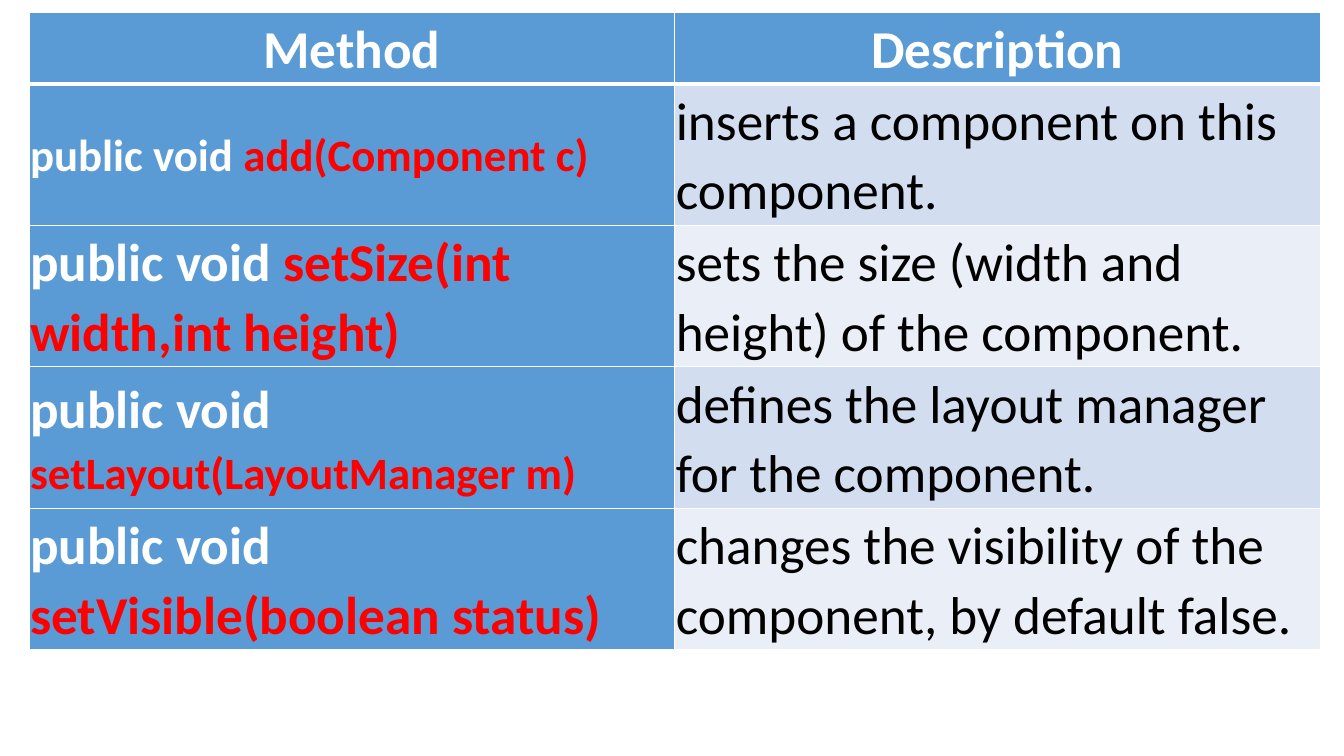
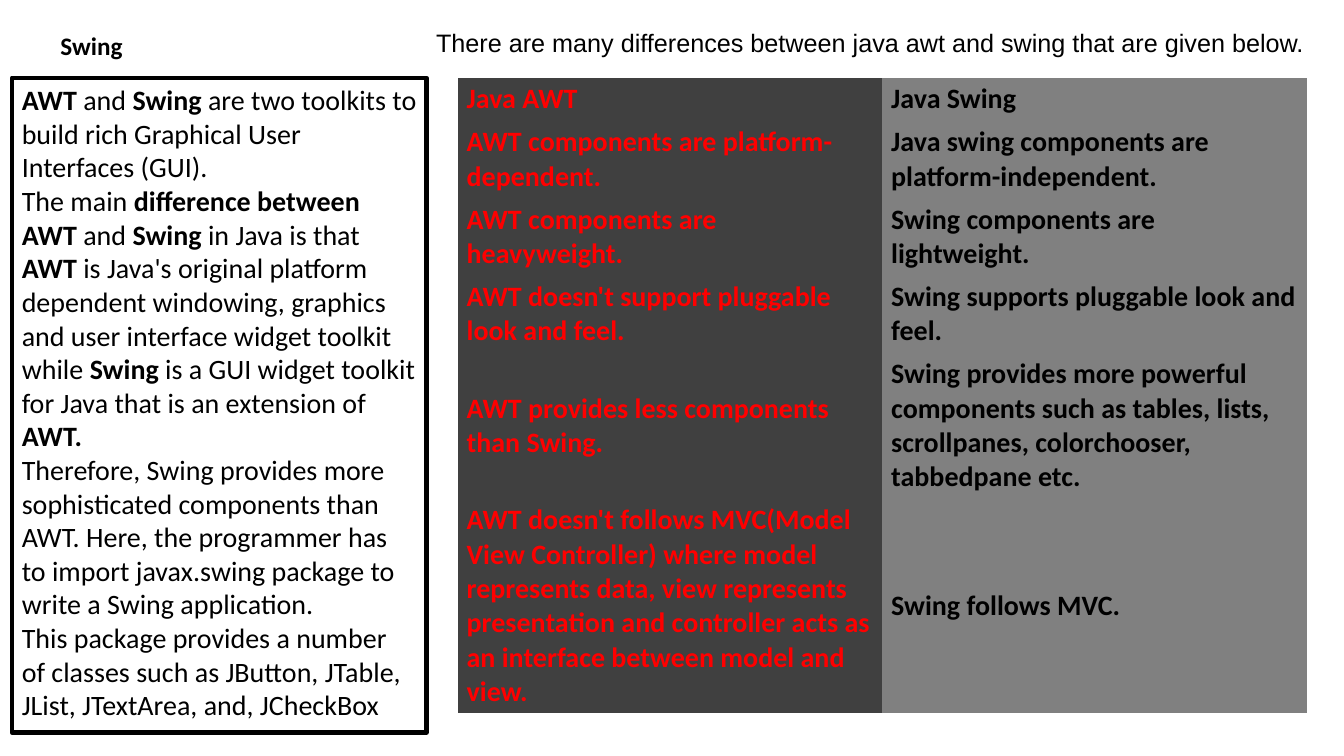
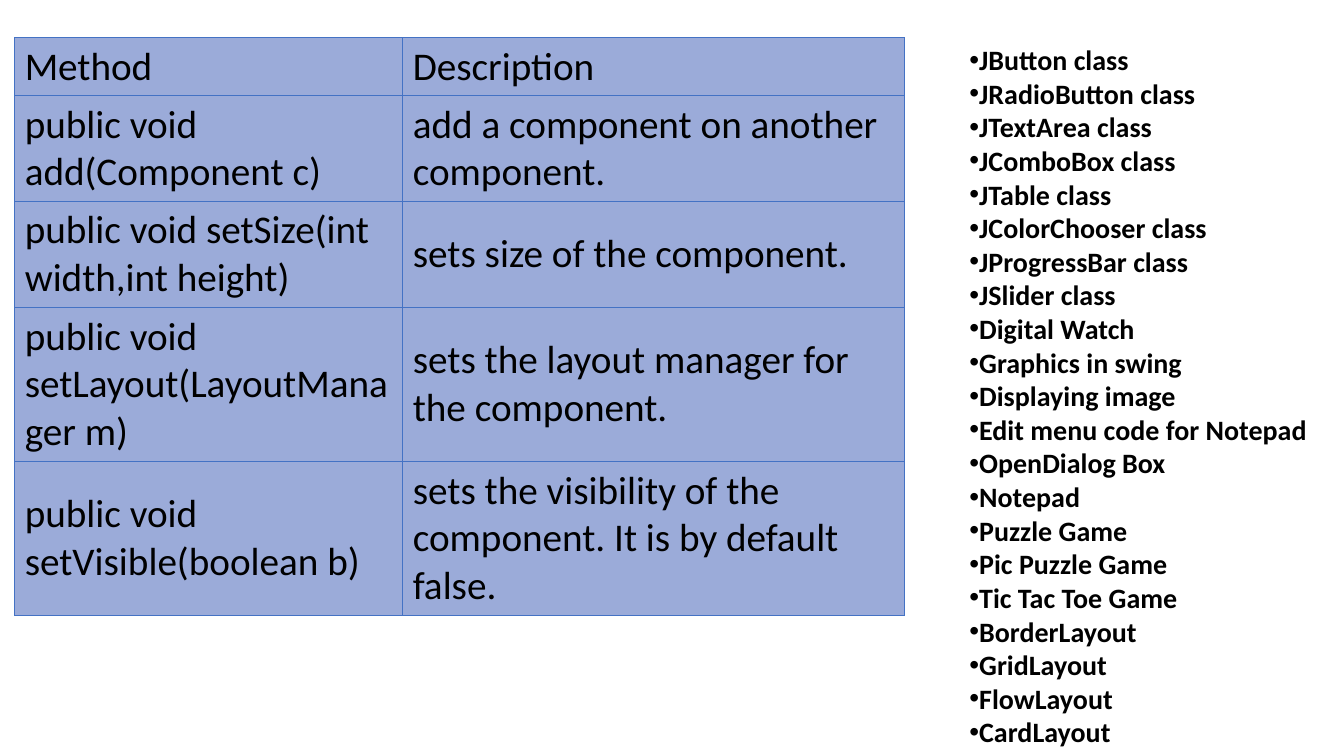
from lxml import etree
from pptx import Presentation
from pptx.dml.color import RGBColor
from pptx.enum.shapes import MSO_SHAPE
from pptx.enum.text import MSO_ANCHOR, MSO_AUTO_SIZE, PP_ALIGN
from pptx.oxml.ns import qn
from pptx.util import Cm, Pt

RECTANGLE = MSO_SHAPE.RECTANGLE
TOP, MIDDLE = MSO_ANCHOR.TOP, MSO_ANCHOR.MIDDLE
LEFT, CENTER = PP_ALIGN.LEFT, PP_ALIGN.CENTER
NO_RESIZE = MSO_AUTO_SIZE.NONE

TITLE_ONLY, BLANK = 5, 6
PLAIN_TABLE = "{2D5ABB26-0587-4C30-8999-92F81FD0307C}"
FONT = "Calibri"
BLACK, WHITE, RED = "000000", "FFFFFF", "FF0000"
BLUE, BLUE_BAND, PALE_BAND = "5B9BD5", "D2DEEF", "EAEFF7"
DARK_GREY, MID_GREY = "404040", "808080"
LILAC, LILAC_EDGE = "9BABD9", "4472C4"
BOLD = {"bold": True}

COMPONENT_METHODS = [
    ("add(Component c)", "inserts a component on this component.", 32, 32),
    ("setSize(int width,int height)",
     "sets the size (width and height) of the component.", 38, 38),
    ("setLayout(LayoutManager m)",
     "defines the layout manager for the component.", 38, 32),
    ("setVisible(boolean status)",
     "changes the visibility of the component, by default false.", 38, 38),
]
TOOLKITS = [
    [("AWT", BOLD), " and ", ("Swing", BOLD),
     " are two toolkits to build rich Graphical User Interfaces (GUI)."],
    ["The main ", ("difference between AWT", BOLD), " and ", ("Swing", BOLD),
     " in Java is that ", ("AWT", BOLD),
     " is Java's original platform dependent windowing, graphics and user "
     "interface widget toolkit while ", ("Swing", BOLD),
     " is a GUI widget toolkit for Java that is an extension of ", ("AWT.", BOLD)],
    "Therefore, Swing provides more sophisticated components than AWT. Here, the "
    "programmer has to import javax.swing package to write a Swing application.",
    "This package provides a number of classes such as JButton, JTable, JList, "
    "JTextArea, and, JCheckBox",
]
DIFFERENCES = [
    ("Java AWT", "Java Swing"),
    ("AWT components are platform-dependent.",
     "Java swing components are platform-independent."),
    ("AWT components are heavyweight.", "Swing components are lightweight."),
    ("AWT doesn't support pluggable look and feel.",
     "Swing supports pluggable look and feel."),
    ("AWT provides less components than Swing.",
     "Swing provides more powerful components such as tables, lists, "
     "scrollpanes, colorchooser, tabbedpane etc."),
    ("AWT doesn't follows MVC(Model View Controller) where model represents data, "
     "view represents presentation and controller acts as an interface between "
     "model and view.", "Swing follows MVC."),
]
SWING_METHODS = [
    ("Method", "Description"),
    ("public void add(Component c)", "add a component on another component."),
    ("public void setSize(int width,int height)", "sets size of the component."),
    ("public void setLayout(LayoutManager m)",
     "sets the layout manager for the component."),
    ("public void setVisible(boolean b)",
     "sets the visibility of the component. It is by default false."),
]
TOPICS = [
    "JButton class", "JRadioButton class", "JTextArea class", "JComboBox class",
    "JTable class", "JColorChooser class", "JProgressBar class", "JSlider class",
    "Digital Watch", "Graphics in swing", "Displaying image",
    "Edit menu code for Notepad", "OpenDialog Box", "Notepad", "Puzzle Game",
    "Pic Puzzle Game", "Tic Tac Toe Game", "BorderLayout", "GridLayout",
    "FlowLayout", "CardLayout",
]


def rgb(value):
    return RGBColor.from_string(value)


def write(frame, paragraphs, size=20, color=BLACK, bold=False, font=FONT,
          align=LEFT, spacing=None, bullet=None):
    """Fill a frame; a paragraph is a string or a list of strings and (text, format)."""
    for index, spans in enumerate(paragraphs):
        para = frame.paragraphs[0] if index == 0 else frame.add_paragraph()
        para.alignment = align
        if spacing:
            para.line_spacing = spacing
        if bullet:
            properties = para._p.get_or_add_pPr()
            etree.SubElement(properties, qn("a:buFont"), typeface="Arial")
            etree.SubElement(properties, qn("a:buChar"), char=bullet)
        for span in [spans] if isinstance(spans, str) else spans:
            text, changes = (span, {}) if isinstance(span, str) else span
            style = {"size": size, "color": color, "bold": bold, **changes}
            run = para.add_run()
            run.text = text
            run.font.name = font
            run.font.size = Pt(style["size"])
            run.font.bold = style["bold"]
            run.font.color.rgb = rgb(style["color"])


def place(box, left, top, width, height):
    box.left, box.top, box.width, box.height = map(Cm, (left, top, width, height))


def add_text(page, area, paragraphs, anchor=TOP, **text_format):
    box = page.shapes.add_textbox(*map(Cm, area))
    box.text_frame.word_wrap = True
    box.text_frame.vertical_anchor = anchor
    write(box.text_frame, paragraphs, **text_format)


def add_outlined_text(page, area, paragraphs, **text_format):
    box = page.shapes.add_shape(RECTANGLE, *map(Cm, area))
    box.shadow.inherit = False
    box.fill.background()
    box.line.color.rgb = rgb(BLACK)
    box.line.width = Pt(3)
    box.text_frame.word_wrap = True
    box.text_frame.vertical_anchor = TOP
    write(box.text_frame, paragraphs, **text_format)


def set_title(page, area, text, **text_format):
    title = page.shapes.title
    place(title, *area)
    frame = title.text_frame
    frame.auto_size = NO_RESIZE
    frame.word_wrap = False
    frame.vertical_anchor = TOP
    write(frame, [text], **text_format)


def add_grid(page, left, top, widths, heights):
    """Add a table without a built-in style and return it."""
    table = page.shapes.add_table(
        len(heights), len(widths), Cm(left), Cm(top),
        Cm(sum(widths)), Cm(sum(heights))).table
    table._tbl.tblPr[0].text = PLAIN_TABLE
    table.first_row = table.horz_banding = False
    for column, width in zip(table.columns, widths):
        column.width = Cm(width)
    for row, height in zip(table.rows, heights):
        row.height = Cm(height)
    return table


def set_border(cell, side, color, points):
    line = etree.SubElement(cell._tc.get_or_add_tcPr(), qn("a:ln" + side),
                            w=str(Pt(points)))
    fill = etree.SubElement(line, qn("a:solidFill"))
    etree.SubElement(fill, qn("a:srgbClr"), val=color)


def fill_cell(cell, content, fill, margins=None, borders=None, **text_format):
    """Format a cell; margins are (side, end) in cm, borders map sides to (colour, points)."""
    for side, (color, points) in (borders or {}).items():
        set_border(cell, side, color, points)
    cell.fill.solid()
    cell.fill.fore_color.rgb = rgb(fill)
    cell.vertical_anchor = MIDDLE
    if margins:
        cell.margin_left = cell.margin_right = Cm(margins[0])
        cell.margin_top = cell.margin_bottom = Cm(margins[1])
    write(cell.text_frame, [content], **text_format)


def build_component_methods(page):
    table = add_grid(page, 0.73, 0.3, [16.27] * 2, [1.8] + [3.55] * 4)
    edges = dict.fromkeys("LRTB", (WHITE, 1))
    shared = {"margins": (0.03, 0.03), "spacing": 1.07}
    for column, heading in enumerate(["Method", "Description"]):
        fill_cell(table.cell(0, column), heading, BLUE, size=38, color=WHITE,
                  bold=True, align=CENTER, borders={**edges, "B": (WHITE, 3)}, **shared)
    for row, (method, meaning, lead_size, name_size) in enumerate(COMPONENT_METHODS, 1):
        borders = {**edges, "T": (WHITE, 3)} if row == 1 else edges
        signature = [("public void ", {"size": lead_size, "color": WHITE}),
                     (method, {"size": name_size})]
        fill_cell(table.cell(row, 0), signature, BLUE, color=RED, bold=True,
                  borders=borders, **shared)
        fill_cell(table.cell(row, 1), meaning, BLUE_BAND if row % 2 else PALE_BAND,
                  size=38, borders=borders, **shared)


def build_differences(page):
    set_title(page, (1.27, 0.64, 2.08, 1.02), "Swing", size=18, bold=True)
    add_outlined_text(page, (0.3, 1.96, 10.45, 16.5), TOOLKITS)
    table = add_grid(page, 11.53, 1.96, [10.7] * 2,
                     [1.05, 1.92, 1.92, 1.92, 3.65, 5.3])
    columns = [(DARK_GREY, RED), (MID_GREY, BLACK)]
    for row, texts in enumerate(DIFFERENCES):
        for column, (text, (fill, color)) in enumerate(zip(texts, columns)):
            fill_cell(table.cell(row, column), text, fill, margins=(0.23, 0.11),
                      color=color, bold=True)
    add_text(page, (10.74, 0.56, 22.71, 1.02),
             ["There are many differences between java awt and swing that are given below."],
             anchor=MIDDLE, size=18, font="Arial")


def build_swing_methods(page):
    table = add_grid(page, 0.37, 0.95, [9.78, 12.65], [1.46, 2.67, 2.67, 3.88, 3.88])
    edges = dict.fromkeys("LRTB", (LILAC_EDGE, 0.5))
    for row, texts in enumerate(SWING_METHODS):
        for column, text in enumerate(texts):
            fill_cell(table.cell(row, column), text, LILAC, size=28, borders=edges)
    add_text(page, (24.18, 0.95, 9.1, 18.2), TOPICS, bold=True, bullet="•")


def main():
    deck = Presentation()
    deck.slide_width, deck.slide_height = Cm(33.87), Cm(19.05)
    for layout, build in [(BLANK, build_component_methods),
                          (TITLE_ONLY, build_differences),
                          (BLANK, build_swing_methods)]:
        build(deck.slides.add_slide(deck.slide_layouts[layout]))
    deck.save("out.pptx")


if __name__ == "__main__":
    main()
